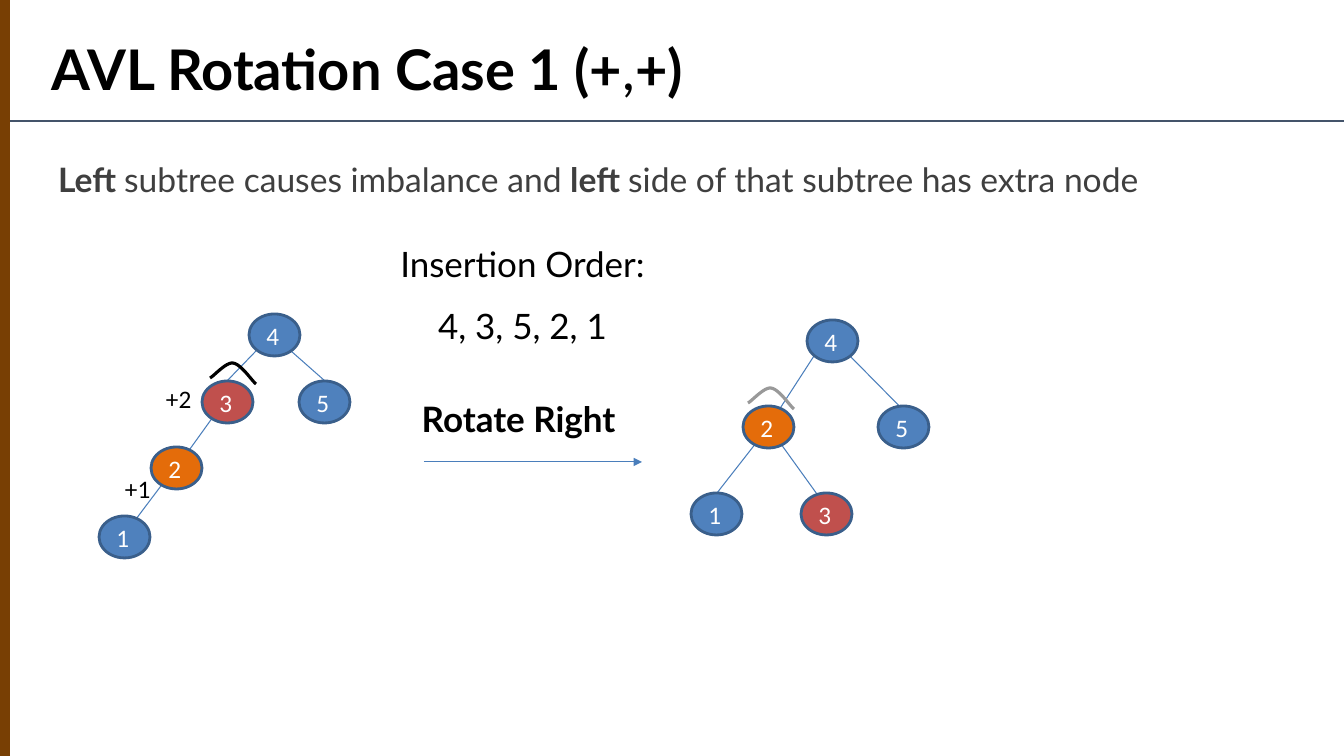
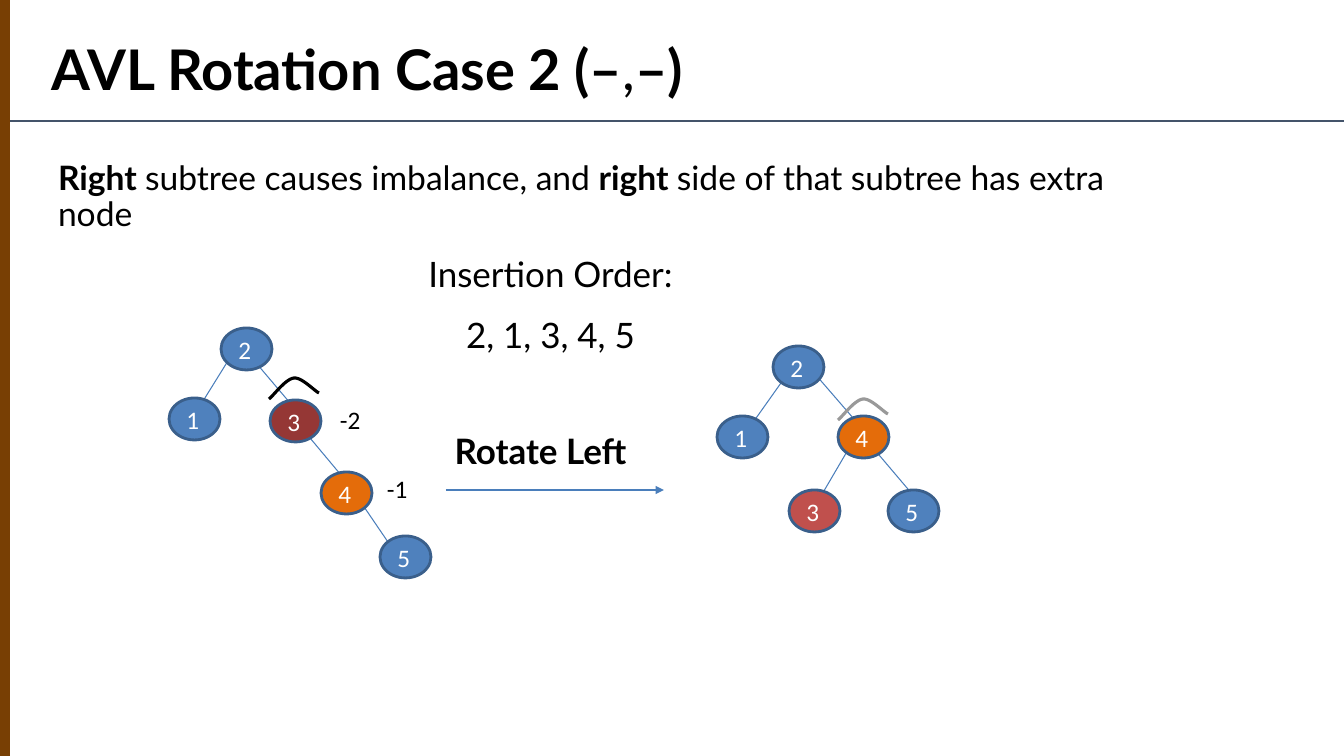
from dataclasses import dataclass

from lxml.etree import SubElement
from pptx import Presentation
from pptx.dml.color import RGBColor as RGB
from pptx.enum.shapes import MSO_CONNECTOR as Conn, MSO_SHAPE as Shape
from pptx.enum.text import MSO_ANCHOR as Anchor, MSO_AUTO_SIZE as Fit, PP_ALIGN as Align
from pptx.oxml.ns import qn
from pptx.util import Pt

PX = 914400 / 100.8


@dataclass(frozen=True)
class Theme:
    head: str = "Lato"
    body: str = "Calibri"
    black: str = "000000"
    white: str = "FFFFFF"
    dark: str = "3F3F3F"
    gray: str = "999999"
    band: str = "783F04"
    rule: str = "44546A"
    edge: str = "4A7EBB"
    rim: str = "3A5F8B"
    blue: str = "4F81BD"
    orange: str = "E46C0A"
    red: str = "C0504D"
    maroon: str = "953735"
    title: int = 40
    step: int = 25
    text: int = 24
    node: int = 18


T = Theme()


def px(*vals):
    return [round(v * PX) for v in vals]


def write(box, lines, size, face=T.head, tint=T.black, align=Align.LEFT,
          pad=(10, 10), anchor=Anchor.TOP):
    frame = box.text_frame
    frame.word_wrap = True
    frame.auto_size = Fit.NONE
    frame.vertical_anchor = anchor
    frame.margin_left, frame.margin_top = px(*pad)
    frame.margin_right, frame.margin_bottom = px(*pad)
    for i, line in enumerate(lines):
        para = frame.add_paragraph() if i else frame.paragraphs[0]
        para.alignment = align
        para.space_before = Pt(14 if i else 0)
        for j, part in enumerate(line.split("*")):
            if part:
                run = para.add_run()
                run.text = part
                run.font.name = face
                run.font.size = Pt(size)
                run.font.bold = j % 2 == 1
                run.font.color.rgb = RGB.from_string(tint)


cases = [
    dict(
        title="*AVL Rotation Case 1 (+*,*+)*",
        note="*Left *subtree causes imbalance and *left *side of that subtree has extra node",
        note_at=158, tint=T.dark,
        order="4, 3, 5, 2, 1", order_at=(370, 233),
        turn="*Rotate Right*", turn_at=(366, 387), arrow=(424, 462),
        edges=[(115, 547, 179, 462), (172, 474, 231, 392),
               (227, 381, 256, 351), (291, 351, 325, 381),
               (717, 493, 767, 429), (827, 508, 768, 426),
               (768, 427, 814, 356), (920, 427, 850, 356)],
        nodes=[("4", 249, 314, T.blue), ("5", 299, 381, T.blue),
               ("1", 99, 516, T.blue), ("2", 151, 447, T.orange),
               ("3", 202, 381, T.red),
               ("5", 878, 406, T.blue), ("4", 807, 320, T.blue),
               ("1", 691, 493, T.blue), ("2", 743, 406, T.orange),
               ("3", 801, 493, T.red)],
        tags=[("+2", 156, 378), ("+1", 115, 468)],
        arcs=[(210, 363, T.black), (748, 388, T.gray)], span=46, flip=False),
    dict(
        title="*AVL Rotation Case 2 (–*,*–)*",
        note="*Right *subtree causes imbalance, and *right *side of that subtree has extra node",
        note_at=156, tint=T.black,
        order="2, 1, 3, 4, 5", order_at=(398, 242),
        turn="*Rotate Left*", turn_at=(388, 420), arrow=(446, 490),
        edges=[(296, 410, 246, 351), (195, 414, 236, 348),
               (346, 481, 295, 420), (388, 542, 356, 495),
               (924, 508, 874, 449), (860, 426, 809, 367),
               (742, 438, 798, 359), (814, 508, 855, 438)],
        nodes=[("1", 169, 398, T.blue), ("5", 380, 536, T.blue),
               ("2", 221, 328, T.blue), ("3", 270, 400, T.maroon),
               ("4", 321, 472, T.orange),
               ("5", 888, 490, T.blue), ("1", 717, 416, T.blue),
               ("2", 773, 346, T.blue), ("4", 838, 416, T.orange),
               ("3", 789, 490, T.red)],
        tags=[("-2", 330, 399), ("-1", 377, 468)],
        arcs=[(269, 378, T.black), (838, 399, T.gray)], span=50, flip=True),
]

curves = [((0, 15), (4, 13), (16, -1), (23, 0)),
          ((23, 0), (31, 1), (42, 18), (46, 21))]
STEPS = 12
bend = []
for curve in curves:
    for k in range(STEPS + 1):
        t = k / STEPS
        mix = ((1 - t) ** 3, 3 * t * (1 - t) ** 2, 3 * t * t * (1 - t), t ** 3)
        bend.append([sum(m * p[axis] for m, p in zip(mix, curve)) for axis in (0, 1)])

deck = Presentation()
deck.slide_width, deck.slide_height = px(1344, 756)
plain = deck.slide_layouts[5]
slides = [deck.slides.add_slide(plain) for case in cases]

first = slides[0].shapes
band = first.add_shape(Shape.RECTANGLE, *px(0, -2, 10, 758))
band.shadow.inherit = False
band.fill.solid()
band.fill.fore_color.rgb = RGB.from_string(T.band)
band.line.fill.background()
rule = first.add_connector(Conn.STRAIGHT, *px(10, 121, 1344, 121))
rule.line.color.rgb = RGB.from_string(T.rule)
rule.line.width = Pt(0.75)
SubElement(rule.element.spPr, qn("a:effectLst"))
for part in (rule, band):
    plain.shapes.element.append(part.element)

for slide, case in zip(slides, cases):
    shapes = slide.shapes
    title = shapes.title
    title.left, title.top, title.width, title.height = px(42, 25, 1301, 122)
    write(title, [case["title"]], T.title)

    note = shapes.add_textbox(*px(58, case["note_at"], 1109, 93))
    write(note, [case["note"]], T.text, tint=case["tint"], pad=(0, 5))
    note.text_frame.paragraphs[0].line_spacing = 0.9

    x, y = case["arrow"]
    arrow = (x, y, x + 218, y)
    for ends in case["edges"] + [arrow]:
        wire = shapes.add_connector(Conn.STRAIGHT, *px(*ends))
        wire.line.color.rgb = RGB.from_string(T.edge)
        wire.line.width = Pt(0.75)
        if ends == arrow:
            SubElement(wire.element.spPr.find(qn("a:ln")), qn("a:tailEnd"), type="triangle")
        SubElement(wire.element.spPr, qn("a:effectLst"))

    for key, x, y, fill in case["nodes"]:
        node = shapes.add_shape(Shape.OVAL, *px(x, y, 51, 42))
        node.shadow.inherit = False
        node.fill.solid()
        node.fill.fore_color.rgb = RGB.from_string(fill)
        node.line.color.rgb = RGB.from_string(T.rim)
        node.line.width = Pt(2)
        write(node, [key], T.node, T.body, T.white, pad=(10, 5), anchor=Anchor.MIDDLE)

    for tag, x, y in case["tags"]:
        label = shapes.add_textbox(*px(x, y, 77, 40))
        write(label, [tag], T.node, T.body, pad=(10, 5))

    for x, y, tint in case["arcs"]:
        span = case["span"]
        dots = []
        for dx, dy in bend:
            dx *= span / 46
            dots.append(px(x + (span - dx if case["flip"] else dx), y + dy))
        pen = shapes.build_freeform(*dots[0])
        pen.add_line_segments(dots[1:], close=False)
        arc = pen.convert_to_shape()
        arc.shadow.inherit = False
        arc.fill.background()
        arc.line.color.rgb = RGB.from_string(tint)
        arc.line.width = Pt(2.25)

    turn = shapes.add_textbox(*px(*case["turn_at"], 305, 71))
    write(turn, [case["turn"]], T.step, align=Align.CENTER)
    order = shapes.add_textbox(*px(*case["order_at"], 305, 116))
    write(order, ["Insertion Order:", case["order"]], T.step, align=Align.CENTER)

deck.save("out.pptx")
